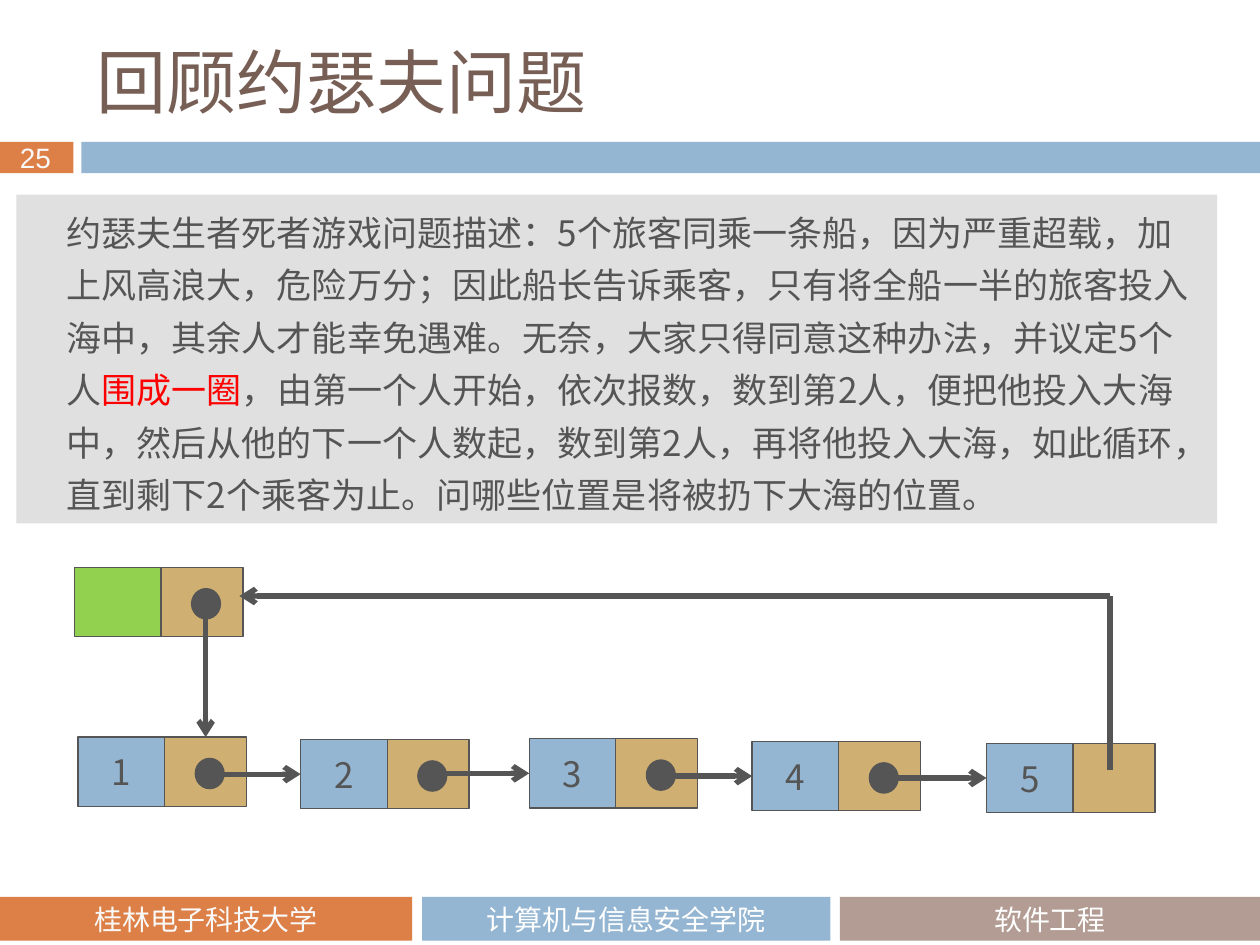
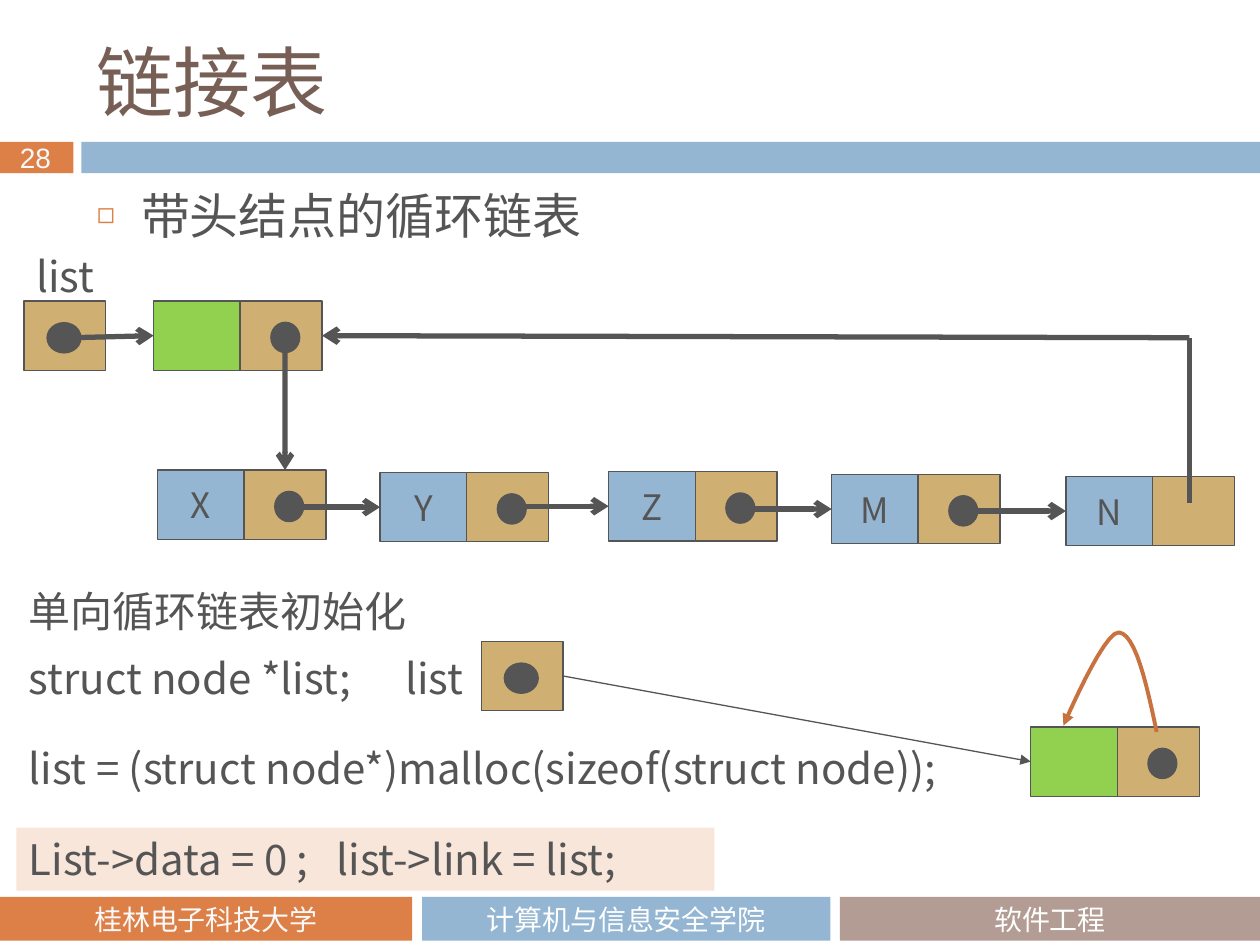
from lxml.etree import SubElement
from pptx import Presentation
from pptx.dml.color import RGBColor
from pptx.enum.shapes import MSO_CONNECTOR as Link, MSO_SHAPE as Kind
from pptx.enum.text import MSO_ANCHOR as Anchor, MSO_AUTO_SIZE as Auto, PP_ALIGN as Align
from pptx.oxml.ns import qn
from pptx.util import Pt

ORANGE = RGBColor(0xDD, 0x80, 0x47)
BLUE = RGBColor(0x94, 0xB6, 0xD2)
MAUVE = RGBColor(0xB2, 0x9C, 0x93)
BROWN = RGBColor(0x77, 0x5F, 0x55)
TAN = RGBColor(0xD0, 0xAF, 0x72)
GREEN = RGBColor(0x92, 0xD0, 0x50)
INK = RGBColor(0x55, 0x55, 0x55)
RED = RGBColor(0xFF, 0x00, 0x00)
RUST = RGBColor(0xC8, 0x73, 0x3F)
GREY = RGBColor(0xE0, 0xE0, 0xE0)
PEACH = RGBColor(0xF8, 0xE6, 0xDA)
WHITE = RGBColor(0xFF, 0xFF, 0xFF)
PALE = RGBColor(0xF9, 0xF9, 0xF9)
SANS = "Noto Sans CJK SC"
HEADING = "Noto Sans CJK JP"

FOOTERS = [
    ("桂林电子科技大学", 0, 235.5, ORANGE, PALE),
    ("计算机与信息安全学院", 241.2, 233.3, BLUE, WHITE),
    ("软件工程", 480, 240, MAUVE, WHITE),
]
STORY = [
    ("约瑟夫生者死者游戏问题描述：5个旅客同乘一条船，因为严重超载，加上风高浪大，"
     "危险万分；因此船长告诉乘客，只有将全船一半的旅客投入海中，其余人才能幸免遇难。"
     "无奈，大家只得同意这种办法，并议定5个人", INK),
    ("围成一圈", RED),
    ("，由第一个人开始，依次报数，数到第2人，便把他投入大海中，然后从他的下一个人数起，"
     "数到第2人，再将他投入大海，如此循环，直到剩下2个乘客为止。"
     "问哪些位置是将被扔下大海的位置。", INK),
]
TOPIC = "带头结点的循环链表"
NOTES = [
    ("list", 13.7, 139.7, 51),
    ("单向循环链表初始化", 9.4, 331.2, 232.6),
    ("list", 224.6, 369.4, 51),
    ("struct node *list;", 9.4, 369.4, 216),
    ("list = (struct node*)malloc(sizeof(struct node));", 9.4, 420.5, 565),
]
INIT = "List->data = 0 ;   list->link = list;"
STEPS = [(0, 0), (127.2, 1.4), (257.8, 0.9), (385.2, 2.5), (519.1, 3.6)]
CURVE = [
    ((661, 418.3), (655.2, 390.2), (648.7, 362.2), (639.4, 361.4)),
    ((639.4, 361.4), (630.7, 360.7), (607.7, 414.7), (607.7, 414.7)),
]
DATA_W, LINK_W, NODE_H = 49.5, 46.8, 39.6


def style(par, size, color, face=SANS):
    for run in par.runs:
        run.font.size = Pt(size)
        run.font.name = face
        run.font.color.rgb = color
        east = SANS if face in ("Calibri", "Arial") else face
        SubElement(run.font._element, qn("a:ea")).set("typeface", east)


def place(shape, x, y, w, h):
    shape.left, shape.top, shape.width, shape.height = Pt(x), Pt(y), Pt(w), Pt(h)


def box(slide, x, y, w, h, fill, edge=None, text="", size=20, color=INK,
        face=SANS, kind=Kind.RECTANGLE):
    shape = slide.shapes.add_shape(kind, Pt(x), Pt(y), Pt(w), Pt(h))
    shape.shadow.inherit = False
    shape.fill.solid()
    shape.fill.fore_color.rgb = fill
    if edge is None:
        shape.line.fill.background()
    else:
        shape.line.color.rgb = edge
        shape.line.width = Pt(0.75)
    if text:
        frame = shape.text_frame
        frame.text = text
        frame.vertical_anchor = Anchor.MIDDLE
        frame.paragraphs[0].alignment = Align.CENTER
        style(frame.paragraphs[0], size, color, face)
    return shape


def label(slide, text, x, y, w, h=36, size=24, color=INK, face=SANS):
    frame = slide.shapes.add_textbox(Pt(x), Pt(y), Pt(w), Pt(h)).text_frame
    frame.word_wrap = False
    frame.auto_size = Auto.SHAPE_TO_FIT_TEXT
    frame.text = text
    style(frame.paragraphs[0], size, color, face)


def tip(line, kind):
    SubElement(line._get_or_add_ln(), qn("a:tailEnd")).set("type", kind)


def wire(slide, start, end, width=3, head="arrow"):
    line = slide.shapes.add_connector(Link.STRAIGHT, *map(Pt, (*start, *end)))
    line.line.color.rgb = INK
    line.line.width = Pt(width)
    SubElement(line._element.spPr, qn("a:effectLst"))
    if head:
        tip(line.line, head)
    return line


def dot(slide, x, y, w=16.5):
    box(slide, x, y, w, 17.3, INK, INK, kind=Kind.OVAL)


def node(slide, x, y, fill, text="", full=True):
    data = box(slide, x, y, DATA_W, NODE_H, fill, INK, text)
    link = box(slide, x + DATA_W, y, LINK_W, NODE_H, TAN, INK)
    if full:
        dot(slide, x + 67, y + 12.2)
    return data, link


def root(slide, x, y):
    cell = box(slide, x, y, LINK_W, NODE_H, TAN, INK)
    dot(slide, x + 13.2, y + 12.4, 19.4)
    return cell


def ring(slide, names, x, y, top, back, rise):
    data, link = head = node(slide, *top, GREEN)
    cells = []
    for name, (dx, dy) in zip(names, STEPS):
        cells.append(node(slide, x + dx, y + dy, BLUE, name, name != names[-1]))
    down = wire(slide, (top[0] + 75, top[1] + 29), (top[0] + 75, y))
    down.end_connect(cells[0][1], 0)
    for (dx, _), (nx, ny), (cell, _) in zip(STEPS, STEPS[1:], cells[1:]):
        mid = y + ny + NODE_H / 2
        wire(slide, (x + dx + 75, mid), (x + nx, mid)).end_connect(cell, 1)
    right = x + 589.7
    home = wire(slide, (right, rise), (back, rise))
    wire(slide, (right, rise), (right, y + 18.8), head=None)
    return data, link, home


def page(deck, layout, number, title, size):
    slide = deck.slides.add_slide(deck.slide_layouts[layout])
    box(slide, 0, 81, 42, 18, ORANGE)
    box(slide, 46.5, 81, 673.5, 18, BLUE)
    for text, x, w, fill, color in FOOTERS:
        box(slide, x, 512.6, w, 25, fill, None, text, 16, color, "Calibri")
    label(slide, number, 4.3, 76.5, 34.6, 26.6, 16, PALE, "Arial")
    place(slide.shapes.title, 48.2, 18, 642.2, 56.2)
    frame = slide.shapes.title.text_frame
    frame.text = title
    frame.auto_size = Auto.NONE
    frame.vertical_anchor = Anchor.MIDDLE
    frame.paragraphs[0].alignment = Align.LEFT
    style(frame.paragraphs[0], size, BROWN, HEADING)
    return slide


def indent(par, left, hang):
    props = par._p.get_or_add_pPr()
    props.set("marL", str(Pt(left)))
    props.set("indent", str(Pt(hang)))
    return props


def review(deck):
    slide = page(deck, 5, "25", "回顾约瑟夫问题", 40)
    frame = box(slide, 9.4, 111.2, 686.2, 187.9, GREY).text_frame
    frame.word_wrap = True
    frame.vertical_anchor = Anchor.TOP
    par = frame.paragraphs[0]
    par.alignment = Align.LEFT
    indent(par, 21.6, 0)
    par.line_spacing = Pt(30)
    for text, _ in STORY:
        par.add_run().text = text
    style(par, 20, INK)
    for run, (_, color) in zip(par.runs, STORY):
        run.font.color.rgb = color
    ring(slide, "12345", 44.6, 421.2, (42.5, 324.2), 136.8, 340.6)


def bullet(par):
    props = indent(par, 25.2, -25.2)
    tint = SubElement(props, qn("a:buClr"))
    SubElement(tint, qn("a:srgbClr")).set("val", str(ORANGE))
    SubElement(props, qn("a:buSzPct")).set("val", "60000")
    SubElement(props, qn("a:buChar")).set("char", "◻")


def bend(t, curve):
    weights = (1 - t) ** 3, 3 * t * (1 - t) ** 2, 3 * t * t * (1 - t), t ** 3
    return tuple(Pt(sum(w * p[axis] for w, p in zip(weights, curve)))
                 for axis in (0, 1))


def arc(slide):
    points = [bend(step / 12, curve) for curve in CURVE for step in range(1, 13)]
    build = slide.shapes.build_freeform(*bend(0, CURVE[0]))
    build.add_line_segments(points, close=False)
    shape = build.convert_to_shape()
    shape.shadow.inherit = False
    shape.fill.background()
    shape.line.color.rgb = RUST
    shape.line.width = Pt(2.25)
    tip(shape.line, "triangle")


def linked(deck):
    slide = page(deck, 1, "28", "链接表", 44)
    body = slide.placeholders[1]
    place(body, 48.2, 105.8, 642.2, 43.9)
    frame = body.text_frame
    frame.text = TOPIC
    frame.auto_size = Auto.NONE
    par = frame.paragraphs[0]
    bullet(par)
    par.line_spacing = Pt(30)
    par.space_before = Pt(0)
    style(par, 28, INK)

    root(slide, 13.7, 172)
    data, link, home = ring(slide, "XYZMN", 90, 268.6, (87.8, 172), 184.3, 193)
    home.end_connect(link, 3)
    wire(slide, (41, 193), (87.8, 191.8)).end_connect(data, 1)

    for note in NOTES:
        label(slide, *note)
    start = root(slide, 275, 366.5)
    data, _ = node(slide, 589, 415.4, GREEN)
    thin = wire(slide, (321.8, 386.3), (589, 435.2), 0.75, "triangle")
    thin.begin_connect(start, 3)
    thin.end_connect(data, 1)
    bar = box(slide, 9.4, 473, 398.9, 36, PEACH, None, INIT, 24)
    bar.text_frame.paragraphs[0].alignment = Align.LEFT
    arc(slide)


def main():
    deck = Presentation()
    deck.slide_width, deck.slide_height = Pt(720), Pt(540)
    review(deck)
    linked(deck)
    deck.save("out.pptx")


if __name__ == "__main__":
    main()
